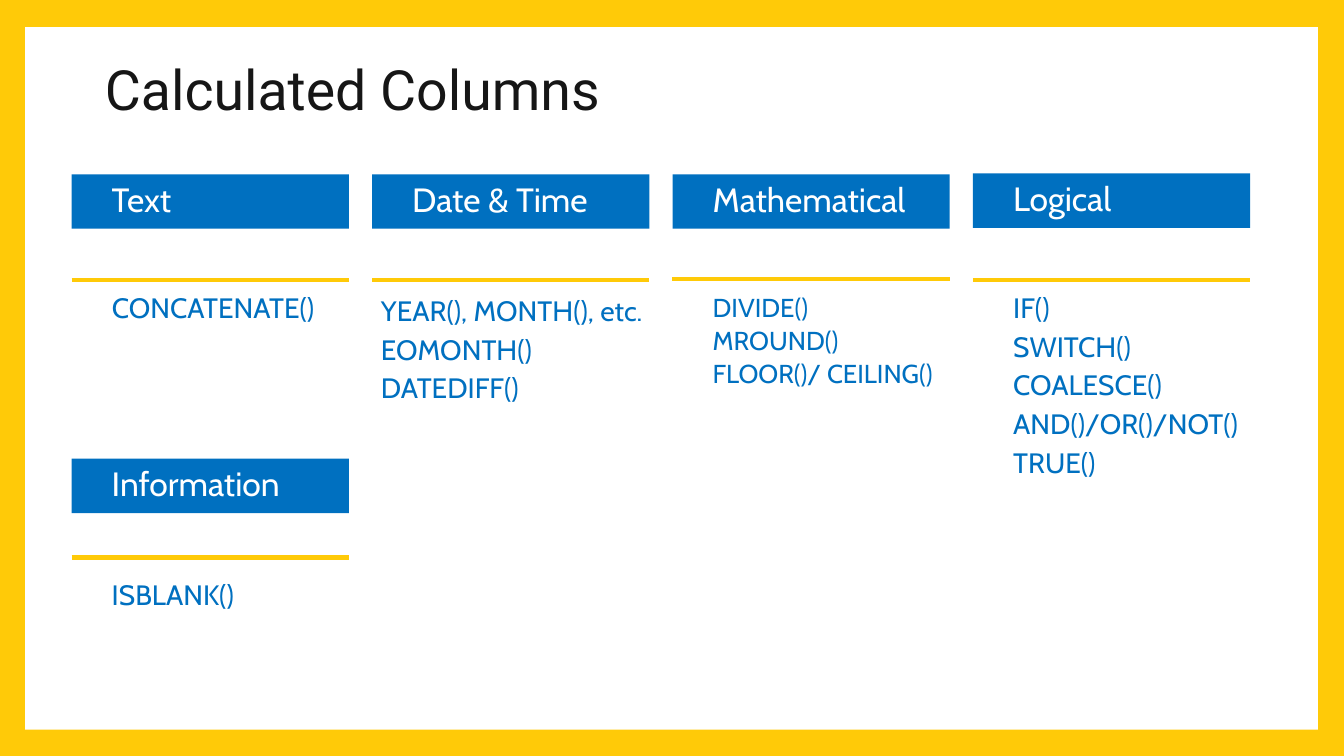
from lxml.etree import SubElement
from pptx import Presentation
from pptx.dml.color import RGBColor
from pptx.enum.shapes import MSO_CONNECTOR as Connector, MSO_SHAPE as Shape
from pptx.enum.text import MSO_ANCHOR as Anchor, MSO_AUTO_SIZE as AutoSize, PP_ALIGN as Align
from pptx.oxml.ns import qn
from pptx.util import Inches, Pt

YELLOW, BLUE, WHITE, BLACK = "FFCA08", "0070C0", "FFFFFF", "161616"
TITLE = "Calculated Columns"
FIRST_LEFT, COLUMN_PITCH, COLUMN_WIDTH, HEADER_HEIGHT = 0.71, 2.98, 2.75, 0.54

# heading, column, header top, rule top, list (left shift, top, width, height), size, spacing, functions
CARDS = [
    ("Text", 0, 1.73, 2.78, (0, 2.87, 2.75, 1.46), 20, 0.9, ["CONCATENATE()"]),
    ("Date & Time", 1, 1.73, 2.78, (-0.31, 2.9, 3.2, 1.34), 20, 0.9,
     ["YEAR(), MONTH(), etc.", "EOMONTH()", "DATEDIFF()"]),
    ("Mathematical", 2, 1.73, 2.77, (0, 2.9, 2.75, 1.04), 18.5, 0.8,
     ["DIVIDE()", "MROUND()", "FLOOR()/ CEILING()"]),
    ("Logical", 3, 1.72, 2.78, (0, 2.87, 2.75, 2), 20, 0.9,
     ["IF()", "SWITCH()", "COALESCE()", "AND()/OR()/NOT()", "TRUE()"]),
    ("Information", 0, 4.55, 5.53, (0, 5.72, 2.75, 0.52), 20, 0.9, ["ISBLANK()"]),
]


def color(hex_string):
    return RGBColor.from_string(hex_string)


def place(shape, left, top, width, height):
    shape.left, shape.top = Inches(left), Inches(top)
    shape.width, shape.height = Inches(width), Inches(height)


def style_font(font, name, size, hex_string):
    font.name, font.size = name, Pt(size)
    font.color.rgb = color(hex_string)


def write_lines(shape, lines, size, hex_string, spacing, anchor):
    frame = shape.text_frame
    frame.word_wrap, frame.auto_size = True, AutoSize.NONE
    frame.vertical_anchor = anchor
    frame.text = "\n".join(lines)
    for index, paragraph in enumerate(frame.paragraphs):
        properties = paragraph._p.get_or_add_pPr()
        properties.set("marL", str(Inches(0.3)))
        properties.set("indent", "0")
        SubElement(properties, qn("a:buNone"))
        paragraph.alignment = Align.LEFT
        paragraph.line_spacing = spacing
        paragraph.space_before = Pt(2 if index else 0)
        paragraph.space_after = Pt(4)
        for run in paragraph.runs:
            style_font(run.font, "Cabin", size, hex_string)


def add_rectangle(slide, box, hex_string):
    shape = slide.shapes.add_shape(Shape.RECTANGLE, *map(Inches, box))
    shape.shadow.inherit = False
    shape.fill.solid()
    shape.fill.fore_color.rgb = color(hex_string)
    shape.line.fill.background()
    return shape


def add_rule(slide, left, top):
    rule = slide.shapes.add_connector(
        Connector.STRAIGHT, Inches(left), Inches(top), Inches(left + COLUMN_WIDTH), Inches(top))
    rule.line.color.rgb = color(YELLOW)
    rule.line.width = Pt(3)
    SubElement(rule._element.spPr, qn("a:effectLst"))


def add_card(slide, card, list_box):
    heading, column, header_top, rule_top, (shift, top, width, height), size, spacing, functions = card
    left = FIRST_LEFT + column * COLUMN_PITCH
    header = add_rectangle(slide, (left, header_top, COLUMN_WIDTH, HEADER_HEIGHT), BLUE)
    write_lines(header, [heading], 24, WHITE, 0.9, Anchor.MIDDLE)
    add_rule(slide, left, rule_top)
    place(list_box, left + shift, top, width, height)
    write_lines(list_box, functions, size, BLUE, spacing, Anchor.TOP)


def main():
    """Build the slide of calculated column functions."""
    presentation = Presentation()
    presentation.slide_width, presentation.slide_height = Inches(13.33), Inches(7.5)
    slide = presentation.slides.add_slide(presentation.slide_layouts[1])
    slide.background.fill.solid()
    slide.background.fill.fore_color.rgb = color(YELLOW)
    panel = add_rectangle(slide, (0.25, 0.27, 12.82, 6.97), WHITE)
    slide.shapes._spTree.insert(2, panel._element)

    title = slide.shapes.title
    place(title, 0.94, 0.59, 8.41, 0.58)
    frame = title.text_frame
    frame.text = TITLE
    frame.auto_size, frame.vertical_anchor = AutoSize.NONE, Anchor.MIDDLE
    frame.paragraphs[0].alignment = Align.LEFT
    style_font(frame.paragraphs[0].runs[0].font, "Roboto", 39.6, BLACK)

    for index, card in enumerate(CARDS):
        list_box = slide.shapes.add_textbox(0, 0, 0, 0) if index else slide.placeholders[1]
        add_card(slide, card, list_box)
    presentation.save("out.pptx")


if __name__ == "__main__":
    main()
